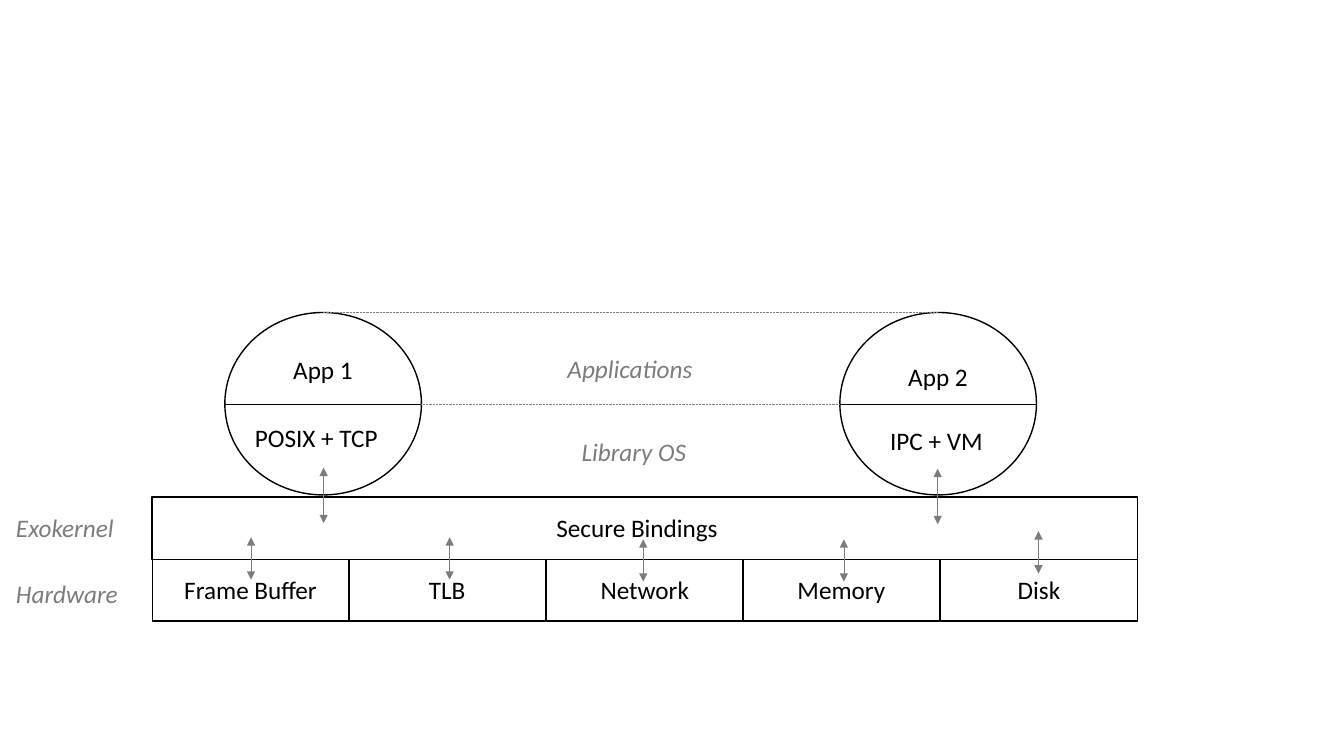
from dataclasses import dataclass
from lxml.etree import SubElement
from pptx import Presentation
from pptx.dml.color import RGBColor
from pptx.enum.dml import MSO_LINE
from pptx.enum.shapes import MSO_CONNECTOR, MSO_SHAPE
from pptx.enum.text import MSO_ANCHOR, MSO_AUTO_SIZE, PP_ALIGN
from pptx.oxml.ns import qn
from pptx.util import Pt


@dataclass(frozen=True)
class Theme:
    ink: RGBColor = RGBColor(0x00, 0x00, 0x00)
    muted: RGBColor = RGBColor(0x7C, 0x7C, 0x7C)
    paper: RGBColor = RGBColor(0xFF, 0xFF, 0xFF)
    font: str = "Calibri"
    size: int = Pt(18)
    outline: int = Pt(1)
    thin: int = Pt(0.5)


THEME = Theme()
PX = 9144
LABEL = {"name": THEME.font, "size": THEME.size, "italic": False}
LAYER = {**LABEL, "italic": True}

STACK_X, STACK_W = 151, 977
KERNEL_Y, HARDWARE_Y, ROW_H = 493, 554, 62
APP_Y, APP_W, APP_H = 310, 195, 181
APP_LEFTS = (223, 833)
MID_Y = 401

DEVICES = [
    ("Frame Buffer", 249, 533),
    ("TLB", 446, 533),
    ("Network", 638, 535),
    ("Memory", 837, 535),
    ("Disk", 1030, 527),
]
APP_ARROWS = [(930, 465), (321, 464)]
LABELS = [
    ("Secure Bindings", 542, 503, 272, True),
    ("POSIX + TCP", 243, 414, 176, True),
    ("IPC + VM", 873, 417, 169, True),
    ("App 2", 891, 354, 80, False),
    ("App 1", 281, 347, 80, False),
]
LAYERS = [
    ("Applications", 553, 346, 146, False),
    ("Library OS", 567, 428, 296, True),
    ("Exokernel", 6, 503, 118, False),
    ("Hardware", 6, 569, 122, False),
]


def emu(*lengths):
    return [n * PX for n in lengths]


def write(tf, text, color, formats):
    r = tf.paragraphs[0].add_run()
    r.text = text
    for name, value in formats.items():
        setattr(r.font, name, value)
    r.font.color.rgb = color


def add_box(s, kind, x, y, w, h, text=None):
    sp = s.shapes.add_shape(kind, *emu(x, y, w, h))
    sp.shadow.inherit = False
    sp.fill.solid()
    sp.fill.fore_color.rgb = THEME.paper
    sp.line.color.rgb = THEME.ink
    sp.line.width = THEME.outline
    if text:
        tf = sp.text_frame
        tf.vertical_anchor = MSO_ANCHOR.MIDDLE
        tf.paragraphs[0].alignment = PP_ALIGN.CENTER
        write(tf, text, THEME.ink, LABEL)


def add_label(s, text, x, y, w, wrap, color, formats):
    tf = s.shapes.add_textbox(*emu(x, y, w, 40)).text_frame
    tf.word_wrap = wrap
    tf.auto_size = MSO_AUTO_SIZE.SHAPE_TO_FIT_TEXT
    write(tf, text, color, formats)


def add_line(s, x1, y1, x2, y2, color, dash=None):
    cn = s.shapes.add_connector(MSO_CONNECTOR.STRAIGHT, *emu(x1, y1, x2, y2))
    cn.line.color.rgb = color
    cn.line.width = THEME.thin
    if dash:
        cn.line.dash_style = dash
    SubElement(cn._element.spPr, qn("a:effectLst"))
    return cn


def add_arrow(s, x, top, height):
    cn = add_line(s, x, top, x, top + height, THEME.muted)
    ln = cn.line._get_or_add_ln()
    for end in ("a:headEnd", "a:tailEnd"):
        SubElement(ln, qn(end), type="triangle")


def main():
    prs = Presentation()
    prs.slide_width, prs.slide_height = emu(1333, 750)
    s = prs.slides.add_slide(prs.slide_layouts[6])

    cell = STACK_W / len(DEVICES)
    for i, (device, _, _) in enumerate(DEVICES):
        add_box(s, MSO_SHAPE.RECTANGLE, STACK_X + round(i * cell), HARDWARE_Y,
                round(cell), ROW_H, device)
    add_box(s, MSO_SHAPE.RECTANGLE, STACK_X, KERNEL_Y, STACK_W, ROW_H)

    for x in APP_LEFTS:
        add_box(s, MSO_SHAPE.OVAL, x, APP_Y, APP_W, APP_H)
        add_line(s, x, MID_Y, x + APP_W, MID_Y, THEME.ink)

    left, right = APP_LEFTS
    half = APP_W // 2
    for x1, x2, y in ((left + APP_W, right, MID_Y),
                      (left + half, right + half, APP_Y)):
        add_line(s, x1, y, x2, y, THEME.muted, MSO_LINE.ROUND_DOT)

    for label in LABELS:
        add_label(s, *label, THEME.ink, LABEL)
    for layer in LAYERS:
        add_label(s, *layer, THEME.muted, LAYER)

    for _, x, top in DEVICES:
        add_arrow(s, x, top, 42)
    for x, top in APP_ARROWS:
        add_arrow(s, x, top, 55)

    prs.save("out.pptx")


if __name__ == "__main__":
    main()
